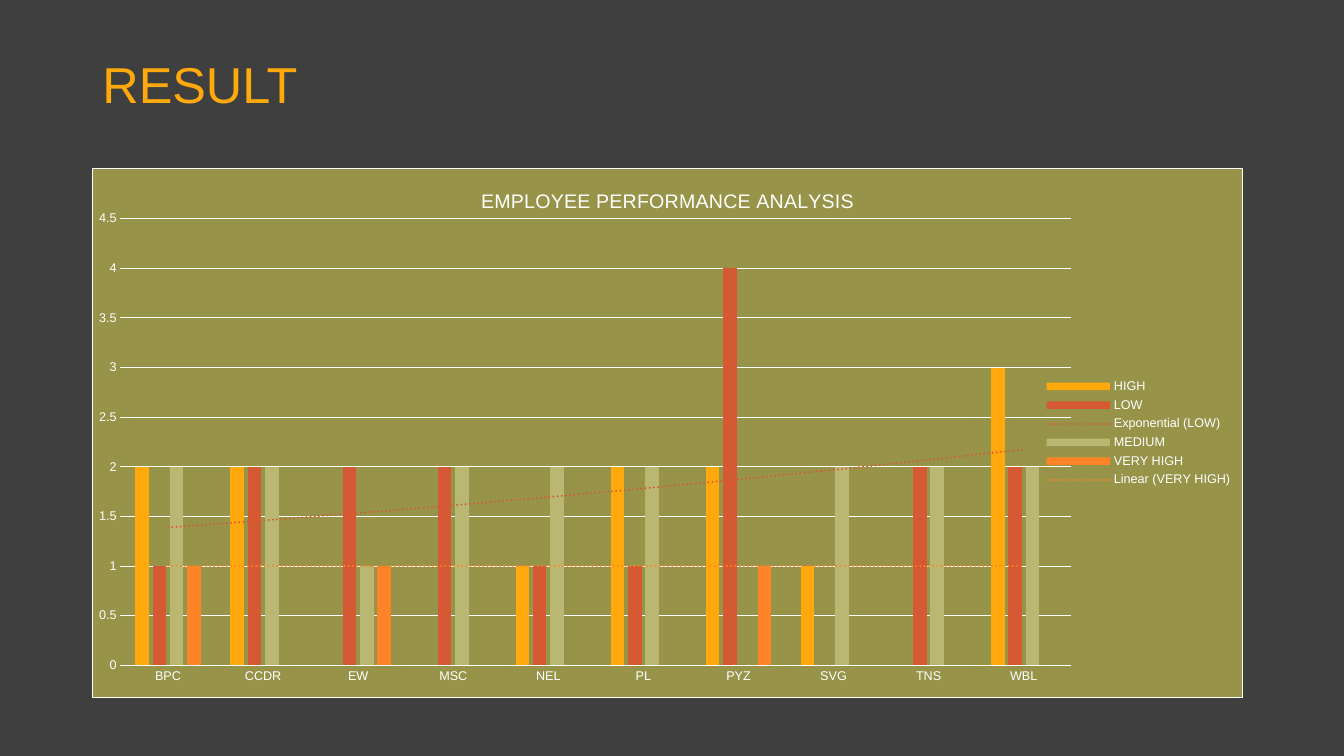
from dataclasses import dataclass
from typing import Optional

from lxml import etree
from pptx import Presentation, util as u
from pptx.chart.data import CategoryChartData
from pptx.dml.color import RGBColor
from pptx.enum import chart as ch, text
from pptx.oxml import parse_xml

PX = 9525
FONT = "Arial"
WHITE = "FFFFFF"
AMBER = "FFA90D"
OLIVE = "97944A"
NS = (
    'xmlns:c="http://schemas.openxmlformats.org/drawingml/2006/chart" '
    'xmlns:a="http://schemas.openxmlformats.org/drawingml/2006/main"'
)


@dataclass
class Rating:
    name: str
    counts: list[Optional[int]]
    color: str
    trend: Optional[str] = None


UNITS = ["BPC", "CCDR", "EW", "MSC", "NEL", "PL", "PYZ", "SVG", "TNS", "WBL"]
RATINGS = [
    Rating("HIGH", [2, 2, None, None, 1, 2, 2, 1, None, 3], AMBER),
    Rating("LOW", [1, 2, 2, 2, 1, 1, 4, None, 2, 2], "D55A33", "exp"),
    Rating("MEDIUM", [2, 2, 1, 2, 2, 2, None, 2, 2, 2], "BAB772"),
    Rating("VERY HIGH", [1, None, 1, None, None, None, 1, None, None, None],
           "FF8427", "linear"),
]


def px(n: int) -> u.Emu:
    return u.Emu(n * PX)


def rgb(color: str) -> RGBColor:
    return RGBColor.from_string(color)


def style_font(font, size: int, color: str = WHITE) -> None:
    font.name = FONT
    font.size = u.Pt(size)
    font.bold = False
    font.color.rgb = rgb(color)


def style_line(line) -> None:
    line.color.rgb = rgb(WHITE)
    line.width = u.Pt(0.75)


def trendline(rating: Rating) -> etree._Element:
    return parse_xml(
        f'<c:trendline {NS}><c:spPr><a:ln w="{u.Pt(1.5)}" cap="rnd"><a:solidFill>'
        f'<a:srgbClr val="{rating.color}"/></a:solidFill><a:prstDash val="sysDot"/></a:ln></c:spPr>'
        f'<c:trendlineType val="{rating.trend}"/><c:dispRSqr val="0"/><c:dispEq val="0"/></c:trendline>'
    )


def frame_chart(chart) -> None:
    chart_part = chart._chartSpace.find("{*}chart")
    chart_part.addnext(parse_xml(
        f'<c:spPr {NS}><a:solidFill><a:srgbClr val="{OLIVE}"/></a:solidFill>'
        f'<a:ln w="{u.Pt(0.75)}"><a:solidFill><a:srgbClr val="{WHITE}"/></a:solidFill></a:ln></c:spPr>'
    ))
    plot_area = chart_part.find("{*}plotArea")
    for old_layout in plot_area.findall("{*}layout"):
        plot_area.remove(old_layout)
    plot_area.insert(0, parse_xml(
        f'<c:layout {NS}><c:manualLayout><c:layoutTarget val="inner"/>'
        '<c:xMode val="edge"/><c:yMode val="edge"/><c:x val="0.024"/><c:y val="0.095"/>'
        '<c:w val="0.827"/><c:h val="0.844"/></c:manualLayout></c:layout>'
    ))


def add_heading(slide) -> None:
    heading = slide.shapes.title
    heading.left, heading.top, heading.width, heading.height = map(px, (88, 38, 1104, 90))
    frame = heading.text_frame
    frame.text = "RESULT"
    frame.auto_size = text.MSO_AUTO_SIZE.NONE
    frame.vertical_anchor = text.MSO_ANCHOR.MIDDLE
    paragraph = frame.paragraphs[0]
    paragraph.alignment = text.PP_ALIGN.LEFT
    paragraph.line_spacing = 0.9
    style_font(paragraph.font, 36, AMBER)


def add_performance(slide) -> None:
    data = CategoryChartData()
    data.categories = UNITS
    for rating in RATINGS:
        data.add_series(rating.name, rating.counts)
    performance = slide.shapes.add_chart(
        ch.XL_CHART_TYPE.COLUMN_CLUSTERED, *map(px, (88, 160, 1096, 505)), data).chart
    style_font(performance.font, 10)
    frame_chart(performance)

    performance.has_title = True
    caption = performance.chart_title
    caption.include_in_layout = False
    caption.text_frame.text = "EMPLOYEE PERFORMANCE ANALYSIS"
    style_font(caption.text_frame.paragraphs[0].font, 14)

    performance.has_legend = True
    performance.legend.position = ch.XL_LEGEND_POSITION.RIGHT
    performance.legend.include_in_layout = False
    style_font(performance.legend.font, 9)

    units, counts = performance.category_axis, performance.value_axis
    for axis in (units, counts):
        axis.major_tick_mark = axis.minor_tick_mark = ch.XL_TICK_MARK.NONE
        style_font(axis.tick_labels.font, 9)
    style_line(units.format.line)
    counts.format.line.fill.background()
    counts.minimum_scale, counts.maximum_scale, counts.major_unit = 0, 4.5, 0.5
    style_line(counts.major_gridlines.format.line)

    columns = performance.plots[0]
    columns.vary_by_categories = False
    columns.gap_width = 219
    columns.overlap = -27
    for series, rating in zip(columns.series, RATINGS):
        series.format.fill.solid()
        series.format.fill.fore_color.rgb = rgb(rating.color)
        if rating.trend:
            series._element.find("{*}cat").addprevious(trendline(rating))


def main() -> None:
    deck = Presentation()
    deck.slide_width, deck.slide_height = px(1280), px(720)
    slide = deck.slides.add_slide(deck.slide_layouts[5])
    slide.background.fill.solid()
    slide.background.fill.fore_color.rgb = rgb("3F3F3F")
    add_heading(slide)
    add_performance(slide)
    deck.save("out.pptx")


if __name__ == "__main__":
    main()
